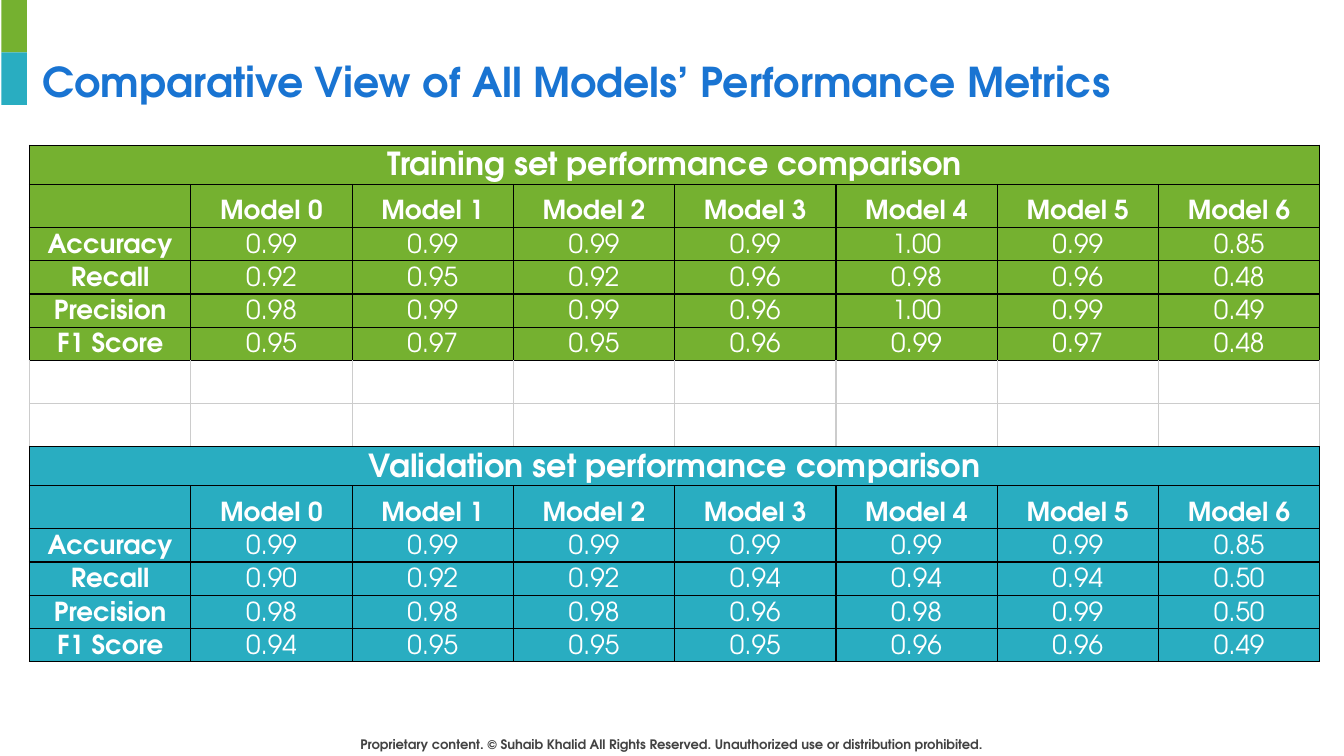
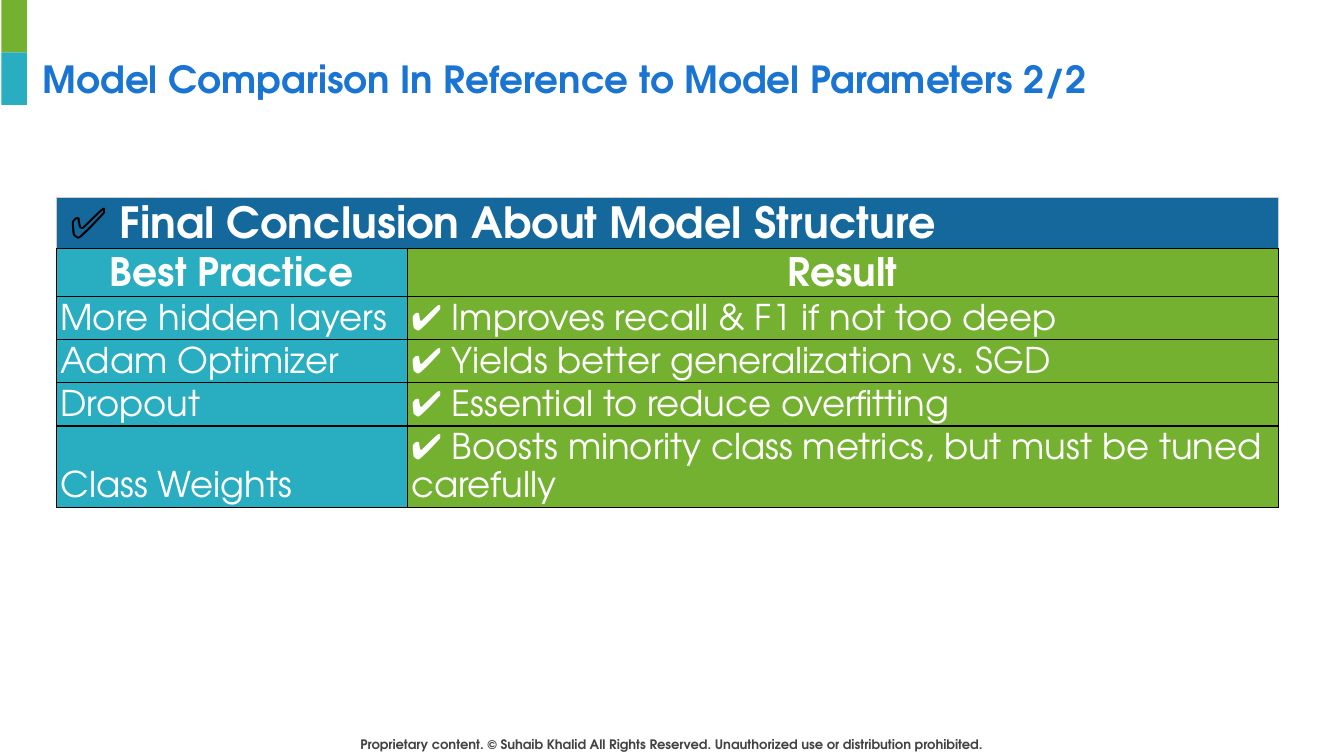
"""Build two slides that compare the performance of the models."""
from dataclasses import dataclass

import pptx
import pptx.dml.color
import pptx.enum.shapes
import pptx.enum.text
import pptx.oxml
import pptx.oxml.ns
import pptx.presentation
import pptx.slide
import pptx.table
import pptx.text.text
import pptx.util

Inches = pptx.util.Inches
Pt = pptx.util.Pt
RGBColor = pptx.dml.color.RGBColor
ALIGN = pptx.enum.text.PP_ALIGN

GREEN = RGBColor(0x75, 0xB1, 0x30)
TEAL = RGBColor(0x29, 0xAD, 0xC1)
NAVY = RGBColor(0x15, 0x68, 0x9B)
BLUE = RGBColor(0x19, 0x74, 0xD2)
GRAY = RGBColor(0x43, 0x43, 0x43)
SILVER = RGBColor(0xCC, 0xCC, 0xCC)
BLACK = RGBColor(0, 0, 0)
WHITE = RGBColor(0xFF, 0xFF, 0xFF)

FONT = "TeX Gyre Adventor"
CELL_LEADING = 1.07
FOOTER = ("Proprietary content. © Suhaib Khalid All Rights Reserved. "
          "Unauthorized use or distribution prohibited.")
MODELS = [f"Model {i}" for i in range(7)]
PRACTICES = [
    ("More hidden layers", "✔ Improves recall & F1 if not too deep"),
    ("Adam Optimizer", "✔ Yields better generalization vs. SGD"),
    ("Dropout", "✔ Essential to reduce overfitting"),
    ("Class Weights",
     "✔ Boosts minority class metrics, but must be tuned carefully"),
]


@dataclass(frozen=True)
class TextStyle:
    """Font and alignment of a paragraph."""
    size: float
    color: RGBColor = WHITE
    bold: bool = True
    align: ALIGN = ALIGN.LEFT


@dataclass(frozen=True)
class Borders:
    """Colours of the four sides of a cell."""
    left: RGBColor = BLACK
    right: RGBColor = BLACK
    top: RGBColor = BLACK
    bottom: RGBColor = BLACK


@dataclass(frozen=True)
class MetricBlock:
    """One coloured set of metrics in the comparison table."""
    title: str
    color: RGBColor
    first_row: int
    metrics: dict[str, str]


TITLE_22 = TextStyle(22, BLUE)
TITLE_20 = TextStyle(20, BLUE)
FOOTNOTE = TextStyle(7, GRAY, align=ALIGN.CENTER)
BLOCK_TITLE = TextStyle(17, align=ALIGN.CENTER)
LABEL = TextStyle(14, align=ALIGN.CENTER)
VALUE = TextStyle(14, bold=False, align=ALIGN.CENTER)
CONCLUSION = TextStyle(23)
COLUMN_HEAD = TextStyle(21, align=ALIGN.CENTER)
PRACTICE = TextStyle(19, bold=False)

BLOCKS = [
    MetricBlock("Training set performance comparison", GREEN, 0, {
        "Accuracy": "0.99 0.99 0.99 0.99 1.00 0.99 0.85",
        "Recall": "0.92 0.95 0.92 0.96 0.98 0.96 0.48",
        "Precision": "0.98 0.99 0.99 0.96 1.00 0.99 0.49",
        "F1 Score": "0.95 0.97 0.95 0.96 0.99 0.97 0.48",
    }),
    MetricBlock("Validation set performance comparison", TEAL, 8, {
        "Accuracy": "0.99 0.99 0.99 0.99 0.99 0.99 0.85",
        "Recall": "0.90 0.92 0.92 0.94 0.94 0.94 0.50",
        "Precision": "0.98 0.98 0.98 0.96 0.98 0.99 0.50",
        "F1 Score": "0.94 0.95 0.95 0.95 0.96 0.96 0.49",
    }),
]
GAP_BORDERS = {
    6: Borders(SILVER, SILVER, BLACK, SILVER),
    7: Borders(SILVER, SILVER, SILVER, BLACK),
}


def style_paragraph(p: pptx.text.text._Paragraph, style: TextStyle) -> None:
    """Apply a text style to a whole paragraph."""
    p.alignment = style.align
    p.font.name = FONT
    p.font.size = Pt(style.size)
    p.font.bold = style.bold
    p.font.color.rgb = style.color


def add_text(s: pptx.slide.Slide, text: str, style: TextStyle, left: float,
             top: float, width: float, height: float) -> None:
    """Add a wrapped text box with equal insets."""
    tf = s.shapes.add_textbox(Inches(left), Inches(top), Inches(width),
                              Inches(height)).text_frame
    tf.word_wrap = True
    tf.auto_size = pptx.enum.text.MSO_AUTO_SIZE.NONE
    tf.margin_left = tf.margin_right = Inches(0.1)
    tf.margin_top = tf.margin_bottom = Inches(0.1)
    p = tf.paragraphs[0]
    p.add_run().text = text
    style_paragraph(p, style)


def add_slide(prs: pptx.presentation.Presentation, title: str,
              style: TextStyle) -> pptx.slide.Slide:
    """Add a blank slide with footer, corner bands and title."""
    s = prs.slides.add_slide(prs.slide_layouts[6])
    add_text(s, FOOTER, FOOTNOTE, 2.44, 5.38, 5.11, 0.3)
    for i, color in enumerate((GREEN, TEAL)):
        sp = s.shapes.add_shape(
            pptx.enum.shapes.MSO_SHAPE.RECTANGLE, Inches(0.01),
            Inches(0.39 * i), Inches(0.19), Inches(0.39))
        sp.shadow.inherit = False
        sp.fill.solid()
        sp.fill.fore_color.rgb = color
        sp.line.fill.background()
    add_text(s, title, style, 0.22, 0.32, 9.32, 0.63)
    return s


def add_table(s: pptx.slide.Slide, left: float, top: float,
              widths: list[float], heights: list[float]) -> pptx.table.Table:
    """Add a plain table with the given column widths and row heights."""
    table = s.shapes.add_table(
        len(heights), len(widths), Inches(left), Inches(top),
        Inches(sum(widths)), Inches(sum(heights))).table
    table.first_row = table.horz_banding = False
    for column, width in zip(table.columns, widths):
        column.width = Inches(width)
    for row, height in zip(table.rows, heights):
        row.height = Inches(height)
    return table


def draw_cell(cell: pptx.table._Cell, fill: RGBColor | None = None,
              borders: Borders = Borders()) -> None:
    """Set the borders and the fill of a cell."""
    tc_pr = cell._tc.get_or_add_tcPr()
    sides = {"L": borders.left, "R": borders.right,
             "T": borders.top, "B": borders.bottom}
    for side, color in sides.items():
        tc_pr.append(pptx.oxml.parse_xml(
            f'<a:ln{side} {pptx.oxml.ns.nsdecls("a")} w="{Pt(0.75)}">'
            f'<a:solidFill><a:srgbClr val="{color}"/></a:solidFill>'
            f'</a:ln{side}>'))
    if fill is None:
        cell.fill.background()
    else:
        cell.fill.solid()
        cell.fill.fore_color.rgb = fill
    cell.margin_left = cell.margin_right = Inches(0.03)
    cell.margin_top = cell.margin_bottom = 0


def write_cell(cell: pptx.table._Cell, style: TextStyle, *texts: str,
               inset: float = 0.03) -> pptx.text.text._Paragraph:
    """Write bottom-anchored text, one run for each part."""
    cell.vertical_anchor = pptx.enum.text.MSO_ANCHOR.BOTTOM
    cell.margin_left = cell.margin_right = Inches(inset)
    cell.margin_top = cell.margin_bottom = Inches(0.02)
    p = cell.text_frame.paragraphs[0]
    for text in texts:
        p.add_run().text = text
    p.line_spacing = Pt(style.size * CELL_LEADING)
    style_paragraph(p, style)
    return p


def fill_block(table: pptx.table.Table, block: MetricBlock) -> None:
    """Fill the title, heading and metric rows of a block."""
    top = block.first_row
    columns = len(table.columns)
    for row in range(top, top + 2 + len(block.metrics)):
        for col in range(columns):
            draw_cell(table.cell(row, col), block.color)
    table.cell(top, 0).merge(table.cell(top, columns - 1))
    write_cell(table.cell(top, 0), BLOCK_TITLE, block.title)
    for col, model in enumerate(MODELS, 1):
        write_cell(table.cell(top + 1, col), LABEL, model)
    for row, (metric, values) in enumerate(block.metrics.items(), top + 2):
        write_cell(table.cell(row, 0), LABEL, metric)
        for col, value in enumerate(values.split(), 1):
            write_cell(table.cell(row, col), VALUE, value)


def build_metrics(prs: pptx.presentation.Presentation) -> None:
    """Build the slide with the metrics of all models."""
    s = add_slide(prs, "Comparative View of All Models’ Performance Metrics",
                  TITLE_22)
    block_heights = [0.27, 0.32] + [0.23] * 4
    table = add_table(s, 0.22, 1.08, [1.2] * 8,
                      block_heights + [0.32] * 2 + block_heights)
    for block in BLOCKS:
        fill_block(table, block)
    for row, borders in GAP_BORDERS.items():
        for col in range(len(table.columns)):
            draw_cell(table.cell(row, col), borders=borders)


def build_conclusion(prs: pptx.presentation.Presentation) -> None:
    """Build the slide with the best practices and their results."""
    s = add_slide(prs, "Model Comparison In Reference to Model Parameters 2/2",
                  TITLE_20)
    table = add_table(s, 0.42, 1.47, [2.61, 6.48], [0.38, 0.3] + [0.27] * 4)
    for col in range(2):
        draw_cell(table.cell(0, col), NAVY,
                  Borders(SILVER, SILVER, SILVER, BLACK))
    table.cell(0, 0).merge(table.cell(0, 1))
    p = write_cell(table.cell(0, 0), CONCLUSION, "✅ ",
                   "Final Conclusion About Model Structure", inset=0.1)
    p.runs[0].font.color.rgb = BLACK
    rows = [("Best Practice", "Result"), *PRACTICES]
    for row, texts in enumerate(rows, 1):
        style = COLUMN_HEAD if row == 1 else PRACTICE
        for col, (text, color) in enumerate(zip(texts, (TEAL, GREEN))):
            draw_cell(table.cell(row, col), color)
            write_cell(table.cell(row, col), style, text)


def main() -> None:
    """Build and save the presentation."""
    prs = pptx.Presentation()
    prs.slide_width = Inches(10)
    prs.slide_height = Inches(10 * 9 / 16)
    build_metrics(prs)
    build_conclusion(prs)
    prs.save("out.pptx")


if __name__ == "__main__":
    main()
